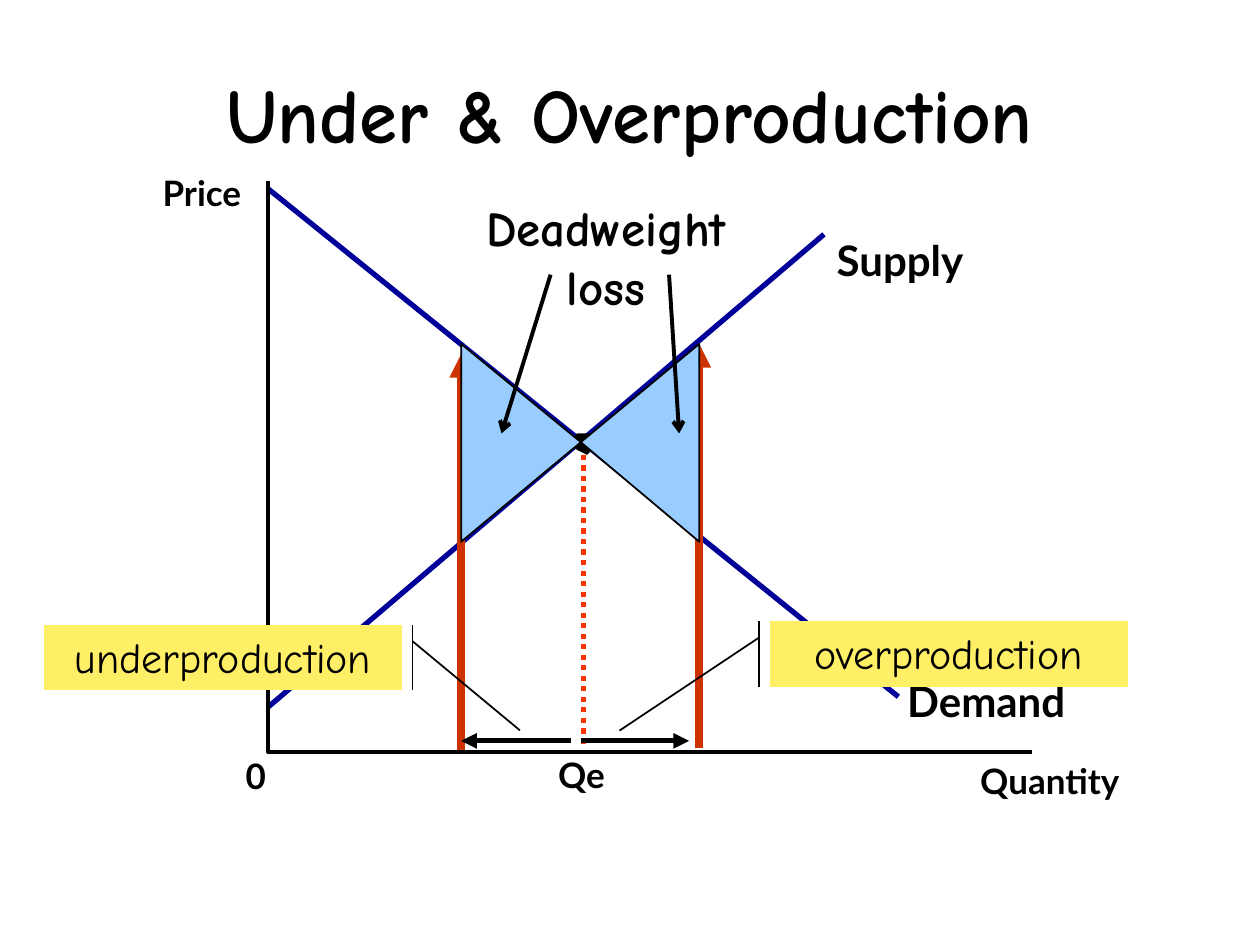
from lxml.etree import SubElement
from pptx import Presentation
from pptx.dml.color import RGBColor
from pptx.enum.dml import MSO_LINE
from pptx.enum.shapes import MSO_CONNECTOR, MSO_SHAPE
from pptx.enum.text import MSO_ANCHOR, MSO_AUTO_SIZE, PP_ALIGN
from pptx.oxml.ns import qn
from pptx.util import Inches, Pt

# The slide is a grid of 100 columns by 75 rows of square cells.
CELL = Inches(10) / 100

BLACK, NAVY, RUST, RED = "000000", "000099", "CC3300", "FF3300"
SKY, YELLOW = "99CCFF", "FFEF66"
TITLE_FONT, LABEL_FONT = "Comic Neue", "Lato"

AXIS_LEFT, AXIS_BOTTOM = 21.3, 59.7
UNDER_X, EQUILIBRIUM_X, OVER_X = 36.6, 46.1, 55.5
EQUILIBRIUM_Y, WEDGE_TOP, WEDGE_BOTTOM = 35.1, 27.3, 43.0


def grid(*cells):
    return [round(cell * CELL) for cell in cells]


def color(hex_string):
    return RGBColor.from_string(hex_string)


def style_line(line, hex_string, width):
    line.color.rgb = color(hex_string)
    line.width = Pt(width)


def write(shape, text, size, font, bold=True, align=PP_ALIGN.CENTER, spacing=None):
    """Fill a shape with text, one paragraph per line, in one format."""
    shape.text_frame.text = text
    for paragraph in shape.text_frame.paragraphs:
        paragraph.alignment = align
        if spacing:
            paragraph.line_spacing = spacing
        for run in paragraph.runs:
            run.font.name = font
            run.font.size = Pt(size)
            run.font.bold = bold
            run.font.color.rgb = color(BLACK)


def add_label(slide, box, text, size=20, align=PP_ALIGN.LEFT, spacing=None):
    """Add a tight chart label without margins."""
    label = slide.shapes.add_textbox(*grid(*box))
    frame = label.text_frame
    frame.margin_left = frame.margin_right = frame.margin_top = frame.margin_bottom = 0
    frame.word_wrap = False
    write(label, text, size, LABEL_FONT, align=align, spacing=spacing)


def add_heading(slide, box, text, size, anchor=MSO_ANCHOR.TOP, wrap=True):
    heading = slide.shapes.add_textbox(*grid(*box))
    heading.text_frame.word_wrap = wrap
    if not wrap:
        heading.text_frame.auto_size = MSO_AUTO_SIZE.SHAPE_TO_FIT_TEXT
    heading.text_frame.vertical_anchor = anchor
    write(heading, text, size, TITLE_FONT)


def add_line(slide, start, end, hex_string, width, arrow=None, dash=None):
    connector = slide.shapes.add_connector(
        MSO_CONNECTOR.STRAIGHT, *grid(*start, *end))
    style_line(connector.line, hex_string, width)
    if dash:
        connector.line.dash_style = dash
    if arrow:
        SubElement(connector.line._get_or_add_ln(), qn("a:tailEnd"), type=arrow)
    SubElement(connector._element.spPr, qn("a:effectLst"))


def add_outline(slide, points, fill=None, line_width=None, close=True):
    """Add a polygon, or an open path when close is False."""
    first, *others = [grid(*point) for point in points]
    builder = slide.shapes.build_freeform(*first)
    builder.add_line_segments(others, close=close)
    shape = builder.convert_to_shape()
    shape.shadow.inherit = False
    if fill:
        shape.fill.solid()
        shape.fill.fore_color.rgb = color(fill)
    else:
        shape.fill.background()
    if line_width:
        style_line(shape.line, BLACK, line_width)
    else:
        shape.line.fill.background()


def add_callout(slide, left, top, text, pointer):
    """Add a callout whose pointer is given as shares (y, x, y, x) of its box."""
    callout = slide.shapes.add_shape(
        MSO_SHAPE.LINE_CALLOUT_1_ACCENT_BAR, *grid(left, top, 28.4, 5.2))
    for index, share in enumerate(pointer):
        callout.adjustments[index] = share
    callout.shadow.inherit = False
    callout.fill.solid()
    callout.fill.fore_color.rgb = color(YELLOW)
    style_line(callout.line, BLACK, 1)
    callout.text_frame.vertical_anchor = MSO_ANCHOR.TOP
    write(callout, text, 24, TITLE_FONT, bold=False)


def add_axes_and_curves(slide):
    add_label(slide, (12.9, 13.6, 6.9, 3.3), "Price")
    add_label(slide, (19.5, 59.9, 1.6, 3.3), "0")
    add_label(slide, (77.8, 60.3, 12.4, 3.3), "Quantity")
    add_label(slide, (44.2, 60.3, 3.9, 2.8), "Qe", align=PP_ALIGN.CENTER, spacing=0.85)
    add_label(slide, (66.4, 18.6, 11.2, 4), "Supply", 24)
    add_label(slide, (72, 53.6, 14, 4), "Demand", 24)
    add_line(slide, (AXIS_LEFT, 56.1), (65.4, 18.6), NAVY, 3)
    add_line(slide, (AXIS_LEFT, 15), (71.3, 55.3), NAVY, 3)
    add_outline(slide, [(AXIS_LEFT, 14.4), (AXIS_LEFT, AXIS_BOTTOM), (81.9, AXIS_BOTTOM)],
                line_width=2.25, close=False)


def add_quantities(slide):
    """Mark the equilibrium point and the three output levels."""
    dot = [(46.6, 36.1), (47, 35.7), (47.4, 35.4), (47.4, 34.8), (47, 34.4),
           (45.8, 34.4), (45.4, 34.8), (45.4, 35.4), (45.8, 35.7)]
    add_outline(slide, dot, fill=BLACK)
    add_line(slide, (46.3, 36.1), (46.3, 59.4), RED, 3, dash=MSO_LINE.ROUND_DOT)
    for x, bottom, top in ((UNDER_X, 59.5, 28.1), (OVER_X, 59.4, WEDGE_TOP)):
        add_line(slide, (x, bottom), (x, top), RUST, 4.5, arrow="triangle")


def add_deadweight_loss(slide):
    for x in (UNDER_X, OVER_X):
        add_outline(slide, [(x, WEDGE_BOTTOM), (x, WEDGE_TOP),
                            (EQUILIBRIUM_X, EQUILIBRIUM_Y)], SKY, 1)
    add_heading(slide, (36.6, 15.2, 23, 10.4), "Deadweight\nloss", 28, wrap=False)
    for start_x, end_x in ((43.7, 39.8), (53.1, 53.9)):
        add_line(slide, (start_x, 21.8), (end_x, 34.4), BLACK, 2.25, arrow="arrow")


def add_production_gaps(slide):
    add_line(slide, (45.3, 58.8), (UNDER_X, 58.8), BLACK, 3, arrow="triangle")
    add_callout(slide, 3.5, 49.6, "underproduction", (0.25, 1.03, 1.61, 1.33))
    add_line(slide, (EQUILIBRIUM_X, 58.8), (54.7, 58.8), BLACK, 3, arrow="triangle")
    add_callout(slide, 61.1, 49.3, "overproduction", (0.25, -0.03, 1.67, -0.42))


def main():
    presentation = Presentation()
    presentation.slide_width, presentation.slide_height = grid(100, 75)
    slide = presentation.slides.add_slide(presentation.slide_layouts[6])
    add_axes_and_curves(slide)
    add_quantities(slide)
    add_heading(slide, (5, 1.7, 90, 11.4), "Under & Overproduction", 44, MSO_ANCHOR.BOTTOM)
    add_deadweight_loss(slide)
    add_production_gaps(slide)
    presentation.save("out.pptx")


if __name__ == "__main__":
    main()
